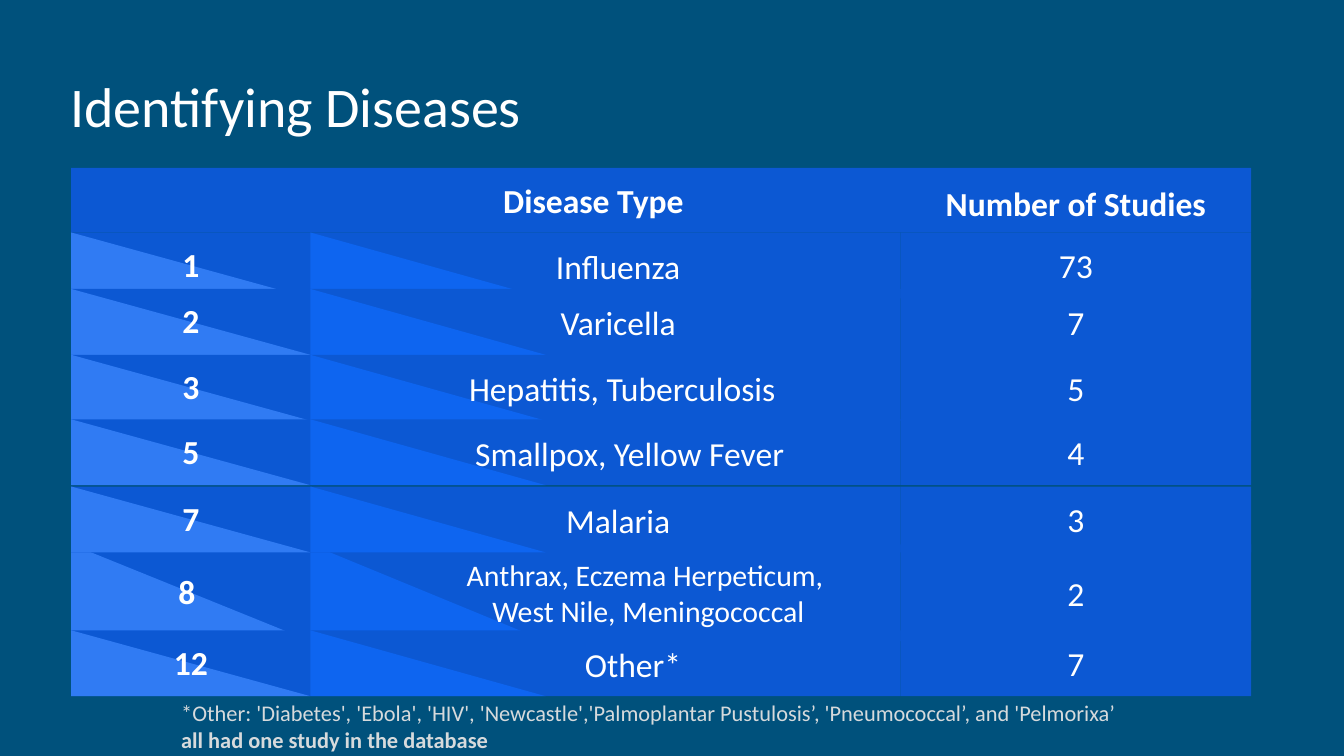
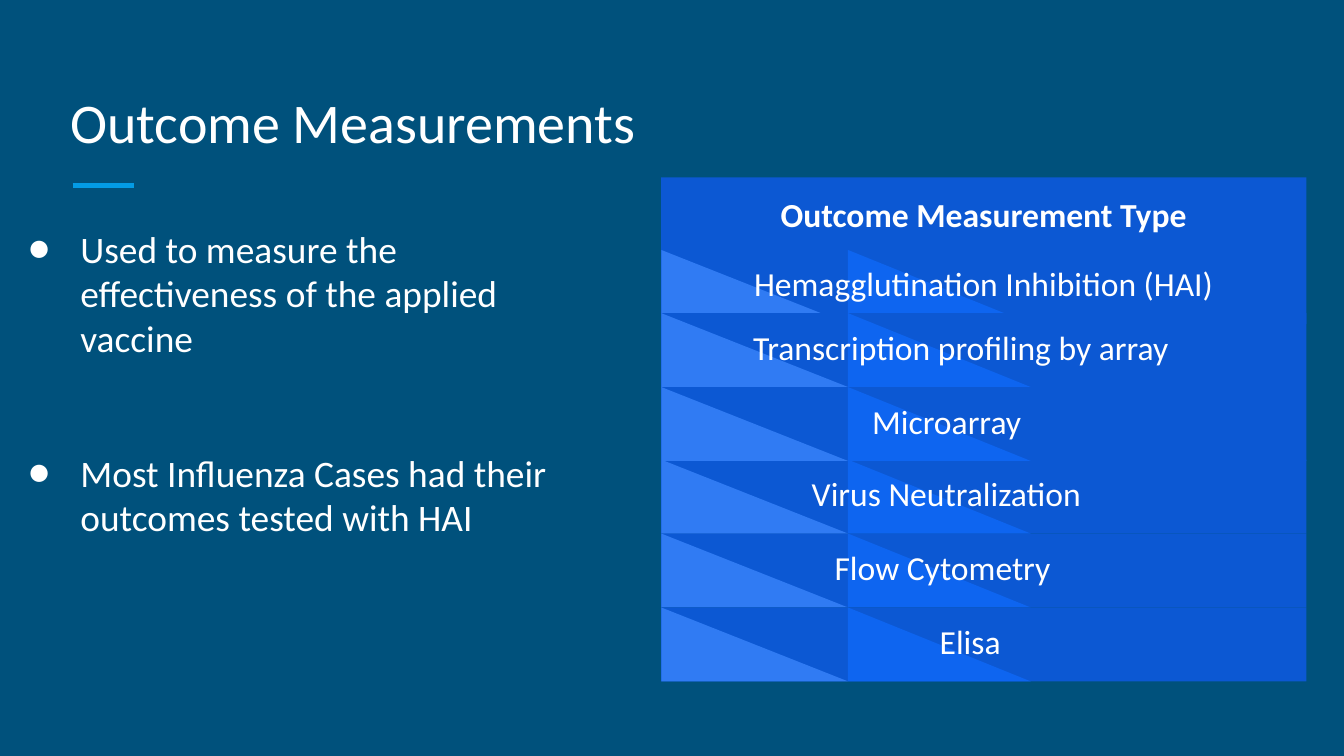
from lxml.etree import SubElement
from pptx import Presentation
from pptx.dml.color import RGBColor
from pptx.enum.shapes import MSO_CONNECTOR, MSO_SHAPE
from pptx.enum.text import MSO_ANCHOR, PP_ALIGN
from pptx.oxml.ns import qn
from pptx.util import Inches, Pt

COLORS = {
    "background": "00517C",
    "accent": "039BE5",
    "panel": "0C58D3",
    "middle": "0E65F0",
    "light": "307BF3",
    "white": "FFFFFF",
    "note": "D6DADC",
}
FONT = "Calibri"
LEFT, CENTER = PP_ALIGN.LEFT, PP_ALIGN.CENTER
TOP, MIDDLE, BOTTOM = MSO_ANCHOR.TOP, MSO_ANCHOR.MIDDLE, MSO_ANCHOR.BOTTOM

# The slide is a grid of 100 columns by 56.25 rows of square cells.
CELL = Inches(0.1)
presentation = Presentation()
presentation.slide_width = 100 * CELL
presentation.slide_height = int(56.25 * CELL)


def add_box(shapes, box, lines=(), fill=None, preset=MSO_SHAPE.RECTANGLE, size=18,
            bold=False, color="white", align=CENTER, anchor=TOP, inset=(1, 1)):
    """Add a filled shape, or a text box without fill; box and inset are in cells.

    Each line is one paragraph, either a string or a (string, bold) pair."""
    position = [int(length * CELL) for length in box]
    if fill:
        shape = shapes.add_shape(preset, *position)
        shape.shadow.inherit = False
        shape.fill.solid()
        shape.fill.fore_color.rgb = RGBColor.from_string(COLORS[fill])
        shape.line.fill.background()
    else:
        shape = shapes.add_textbox(*position)
    frame = shape.text_frame
    frame.word_wrap = True
    frame.vertical_anchor = anchor
    frame.margin_left, frame.margin_right = (int(side * CELL) for side in inset)
    frame.margin_top = frame.margin_bottom = CELL
    for number, line in enumerate(lines):
        text, line_bold = (line, bold) if isinstance(line, str) else line
        paragraph = frame.add_paragraph() if number else frame.paragraphs[0]
        paragraph.alignment = align
        run = paragraph.add_run()
        run.text = text
        run.font.name = FONT
        run.font.size = Pt(size)
        run.font.bold = line_bold
        run.font.color.rgb = RGBColor.from_string(COLORS[color])
    return shape


def add_band(slide, left, top, width, height, light_width, middle_width):
    """Add a grouped table row with its two triangles and return the group's shapes."""
    shapes = slide.shapes.add_group_shape().shapes
    add_box(shapes, (left, top, width, height), fill="panel")
    add_box(shapes, (left + light_width, top, middle_width, height),
            fill="middle", preset=MSO_SHAPE.RIGHT_TRIANGLE)
    add_box(shapes, (left, top, light_width, height),
            fill="light", preset=MSO_SHAPE.RIGHT_TRIANGLE)
    return shapes


slides = []
for title, title_top in (("Identifying Diseases", 3.8), ("Outcome Measurements", 5)):
    slide = presentation.slides.add_slide(presentation.slide_layouts[6])
    slide.background.fill.solid()
    slide.background.fill.fore_color.rgb = RGBColor.from_string(COLORS["background"])
    add_box(slide.shapes, (4.25, title_top, 91.5, 7.5), [title],
            size=30, align=LEFT, anchor=BOTTOM)
    slides.append(slide)
disease_slide, outcome_slide = slides

# Diseases: rank, name and number of studies
TABLE_LEFT, COUNT_LEFT, TABLE_RIGHT = 5.3, 67, 93.1
HEADER_TOP, HEADER_HEIGHT, HEADER_SPLIT = 12.5, 4.8, 63.4
RANK_WIDTH = 17.8
count_header = add_box(
    disease_slide.shapes,
    (HEADER_SPLIT, HEADER_TOP, TABLE_RIGHT - HEADER_SPLIT, HEADER_HEIGHT),
    ["Number of Studies"], fill="panel", bold=True, anchor=MIDDLE,
    inset=(1 + COUNT_LEFT - HEADER_SPLIT, 1))
count_header.text_frame.paragraphs[0].line_spacing = 1.15
add_box(disease_slide.shapes,
        (TABLE_LEFT, HEADER_TOP, HEADER_SPLIT - TABLE_LEFT, HEADER_HEIGHT),
        ["Disease Type"], fill="panel", bold=True, anchor=MIDDLE, inset=(20.6, 1))

NAME_BOX = (25, 0, 42, 4.9)
RANK_BOX = (TABLE_LEFT, 0.05, RANK_WIDTH, 4.8)
TALL_NAME_BOX = (23.4, -0.1, 49.7, 8.5)
TALL_RANK_BOX = (5, -1.1, RANK_WIDTH, 7.1)
# top, height, rank, names, count, name indent; later rows cover earlier ones
diseases = [
    (17.3, 4.9, "1", ["Influenza"], "73", 0),
    (21.5, 4.9, "2", ["Varicella"], "7", 0),
    (26.4, 4.9, "3", ["Hepatitis, Tuberculosis"], "5", 0.6),
    (31.2, 4.9, "5", ["Smallpox, Yellow Fever"], "4", 1.7),
    (40.5, 7.2, "8", ["Anthrax, Eczema Herpeticum, ", "West Nile, Meningococcal"], "2", 0),
    (46.9, 4.9, "12", ["Other*"], "7", 2.2),
    (36.2, 4.9, "7", ["Malaria"], "3", 0),
]
for top, height, rank, names, count, indent in diseases:
    tall = len(names) > 1
    shapes = add_band(disease_slide, TABLE_LEFT, top, COUNT_LEFT - TABLE_LEFT, height,
                      RANK_WIDTH, 17.5)
    add_box(shapes, (COUNT_LEFT, top, TABLE_RIGHT - COUNT_LEFT, height), [count],
            fill="panel", anchor=MIDDLE)
    left, offset, width, box_height = TALL_RANK_BOX if tall else RANK_BOX
    add_box(shapes, (left, top + offset, width, box_height), [rank],
            bold=True, anchor=BOTTOM)
    left, offset, width, box_height = TALL_NAME_BOX if tall else NAME_BOX
    add_box(shapes, (left, top + offset, width, box_height), names,
            size=16 if tall else 18, inset=(1 + indent, 1))

add_box(disease_slide.shapes, (12.5, 51, 79.1, 5.6), [
    "*Other: 'Diabetes', 'Ebola', 'HIV', 'Newcastle','Palmoplantar Pustulosis’, "
    "'Pneumococcal’, and 'Pelmorixa’",
    ("all had one study in the database", True),
], size=12, color="note", align=LEFT)

# Outcome measurements: accent line, list of types and two bullets
accent = outcome_slide.shapes.add_connector(
    MSO_CONNECTOR.STRAIGHT, *(int(length * CELL) for length in (5.4, 13.8, 10, 13.8)))
accent.line.color.rgb = RGBColor.from_string(COLORS["accent"])
accent.line.width = Pt(3)
SubElement(accent.element.spPr, qn("a:effectLst"))

LIST_LEFT, LIST_WIDTH, BAND_HEIGHT = 49.2, 48, 5.5
add_box(outcome_slide.shapes, (LIST_LEFT, 13.2, LIST_WIDTH, 5.4),
        ["Outcome Measurement Type"], fill="panel", bold=True, anchor=MIDDLE)
# top, name, alignment, left and right inset
outcomes = [
    (34.2, "Virus Neutralization", LEFT, (11.2, 1)),
    (39.7, "Flow Cytometry", LEFT, (12.9, 1)),
    (18.6, "Hemagglutination Inhibition (HAI)", CENTER, (1, 1)),
    (23.3, "Transcription profiling by array", CENTER, (1, 4.4)),
    (28.8, "Microarray", LEFT, (15.7, 1)),
    (45.2, "Elisa", CENTER, (1, 3)),
]
for top, name, align, inset in outcomes:
    shapes = add_band(outcome_slide, LIST_LEFT, top, LIST_WIDTH, BAND_HEIGHT, 13.9, 13.6)
    add_box(shapes, (LIST_LEFT, top, LIST_WIDTH, BAND_HEIGHT), [name],
            align=align, inset=inset)

bullets = add_box(outcome_slide.shapes, (0, 15.8, 45.6, 34.9), [
    "Used to measure the effectiveness of the applied vaccine",
    "Most Influenza Cases had their outcomes tested with HAI",
], size=20, align=LEFT)
for paragraph in bullets.text_frame.paragraphs:
    properties = paragraph._p.get_or_add_pPr()
    properties.set("marL", str(5 * CELL))
    properties.set("indent", str(int(-3.9 * CELL)))
    bullet_color = SubElement(properties, qn("a:buClr"))
    SubElement(bullet_color, qn("a:srgbClr"), val=COLORS["white"])
    SubElement(properties, qn("a:buFont"), typeface=FONT)
    SubElement(properties, qn("a:buChar"), char="●")
bullets.text_frame.paragraphs[1].space_before = Pt(48)

presentation.save("out.pptx")
